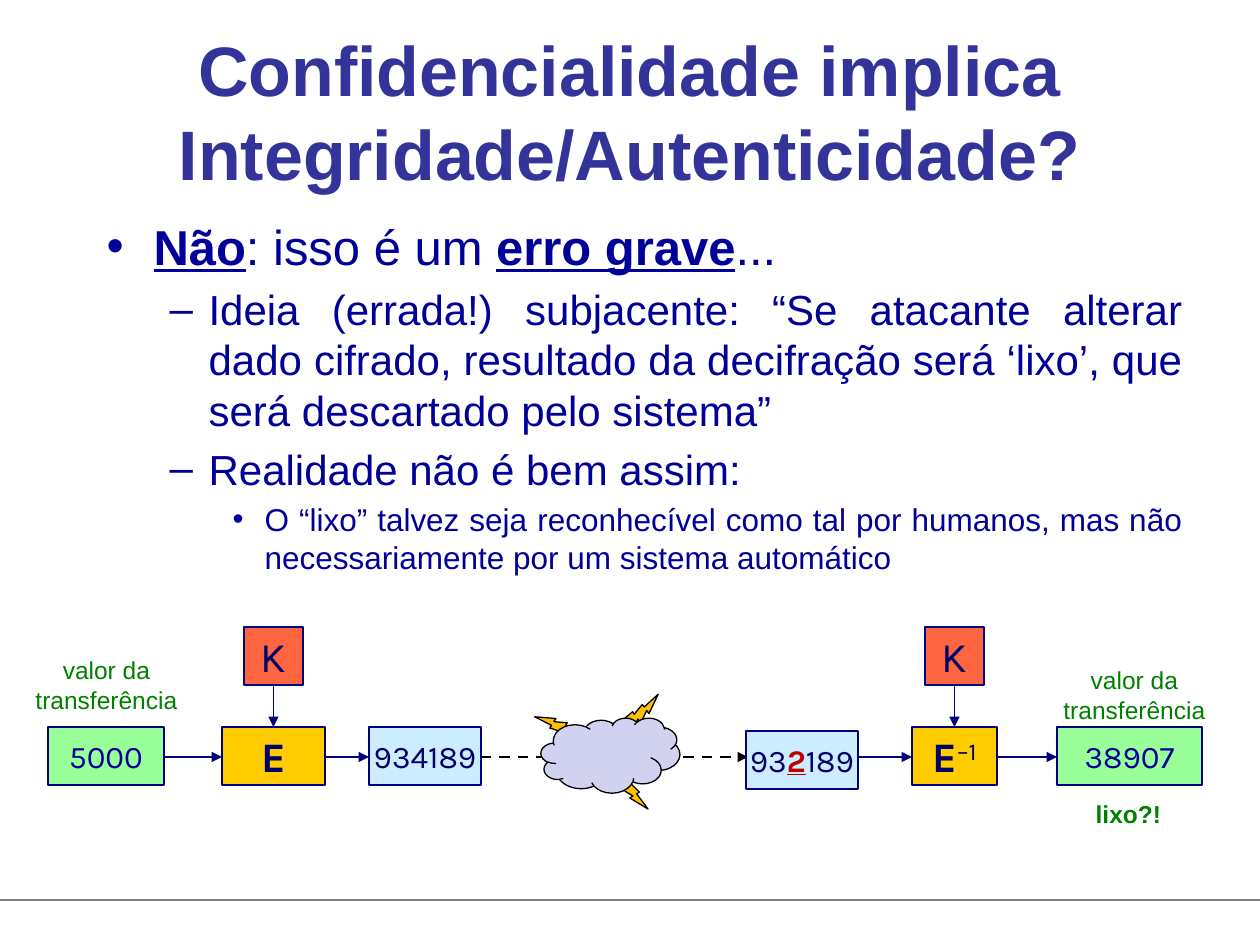
import pptx
import pptx.util
import pptx.dml.color
import pptx.enum.dml
import pptx.enum.shapes
import pptx.enum.text
import pptx.oxml.ns
import lxml.etree

EMU_PER_PX = 914400 / 126
SHAPES = pptx.enum.shapes.MSO_SHAPE
ALIGN = pptx.enum.text.PP_ALIGN
ANCHOR = pptx.enum.text.MSO_ANCHOR
NAVY, INK, BODY, GREEN = "000080", "000066", "000099", "008000"
MINT, SKY, GOLD, CORAL = "99FF99", "CCECFF", "FFCC00", "FF6541"


def px(length):
    return pptx.util.Emu(round(length * EMU_PER_PX))


def color(value):
    return pptx.dml.color.RGBColor.from_string(value)


def add_element(parent, tag, **attributes):
    element = lxml.etree.SubElement(parent, pptx.oxml.ns.qn(tag))
    for name, value in attributes.items():
        element.set(name, value)
    return element


def add_run(paragraph, text, size, font, fill, bold=False, underline=False):
    run = paragraph.add_run()
    run.text = text
    run.font.size = pptx.util.Pt(size)
    run.font.name = font
    run.font.color.rgb = color(fill)
    run.font.bold = bold
    run.font.underline = underline
    return run


def place(shape, left, top, width, height):
    shape.left, shape.top = px(left), px(top)
    shape.width, shape.height = px(width), px(height)


def add_line(slide, start, end, line_color=NAVY, width=0.75, arrow=True):
    line = slide.shapes.add_connector(
        pptx.enum.shapes.MSO_CONNECTOR.STRAIGHT, *map(px, start + end))
    line.line.color.rgb = color(line_color)
    line.line.width = pptx.util.Pt(width)
    if arrow:
        add_element(line.line._get_or_add_ln(), "a:tailEnd", type="triangle")
    add_element(line._element.spPr, "a:effectLst")
    return line


def add_figure(slide, kind, left, top, width, height, fill, line_color):
    shape = slide.shapes.add_shape(kind, px(left), px(top), px(width), px(height))
    shape.shadow.inherit = False
    shape.fill.solid()
    shape.fill.fore_color.rgb = color(fill)
    shape.line.color.rgb = color(line_color)
    shape.line.width = pptx.util.Pt(0.75)
    return shape


def add_block(slide, left, top, width, fill, height=58):
    """Adds a diagram box and returns its centred paragraph."""
    shape = add_figure(slide, SHAPES.RECTANGLE, left, top, width, height, fill, NAVY)
    frame = shape.text_frame
    frame.word_wrap = False
    frame.vertical_anchor = ANCHOR.MIDDLE
    paragraph = frame.paragraphs[0]
    paragraph.alignment = ALIGN.CENTER
    return paragraph


def add_caption(slide, text, left, top, width, height, bold=False):
    frame = slide.shapes.add_textbox(px(left), px(top), px(width), px(height)).text_frame
    frame.word_wrap = True
    paragraph = frame.paragraphs[0]
    paragraph.alignment = ALIGN.CENTER
    add_run(paragraph, text, 14, "Arial", GREEN, bold)


def fill_title(slide, text, box):
    title = slide.shapes.title
    place(title, *box)
    frame = title.text_frame
    frame.auto_size = pptx.enum.text.MSO_AUTO_SIZE.NONE
    frame.vertical_anchor = ANCHOR.MIDDLE
    paragraph = frame.paragraphs[0]
    paragraph.alignment = ALIGN.CENTER
    add_run(paragraph, text, 40, "Arial", "333399", bold=True)


def fill_body(slide, items, box):
    # Per level: text size, bullet, left margin and hanging indent
    levels = [(28, "•", 47, 47), (24, "–", 102, 39), (18, "•", 158, 32)]
    body = slide.placeholders[1]
    place(body, *box)
    frame = body.text_frame
    frame.auto_size = pptx.enum.text.MSO_AUTO_SIZE.NONE
    for index, (level, runs) in enumerate(items):
        size, bullet, margin, hanging = levels[level]
        paragraph = frame.add_paragraph() if index else frame.paragraphs[0]
        properties = paragraph._p.get_or_add_pPr()
        properties.set("marL", str(px(margin)))
        properties.set("indent", str(-px(hanging)))
        add_element(properties, "a:buChar", char=bullet)
        paragraph.level = level
        paragraph.alignment = ALIGN.JUSTIFY
        paragraph.space_before = pptx.util.Pt(size * 0.2 if index else 0)
        for text, strong in runs:
            add_run(paragraph, text, size, "Arial", BODY, strong, strong)


def add_cipher(slide, left, top, width, exponent=""):
    """Key box centred above a cipher box, joined by an arrow."""
    key_size, cipher_offset = 59, 100
    center = left + width / 2
    key = add_block(slide, center - key_size / 2, top, key_size, CORAL)
    add_run(key, "K", 24, "Karla", INK)
    cipher = add_block(slide, left, top + cipher_offset, width, GOLD)
    add_run(cipher, "E", 24, "Karla", INK, bold=True)
    if exponent:
        run = add_run(cipher, exponent, 24, "Karla", INK)
        run._r.get_or_add_rPr().set("baseline", "30000")
    add_line(slide, (center, top + 58), (center, top + cipher_offset))


def add_network(slide, left, top, width, height):
    """Cloud with lightning bolts striking it."""
    for x, y, angle in [(84, -24, 261.2), (73, 53, 356.9), (1, -12, 150.2)]:
        bolt = add_figure(slide, SHAPES.LIGHTNING_BOLT, left + x, top + y,
                          33, 39, "FFC000", "000000")
        bolt.rotation = angle
    add_figure(slide, SHAPES.CLOUD, left, top, width, height, "D1D1F0", "000000")


def add_transfer_diagram(slide, left, top):
    row, axis = top + 100, top + 130

    # Sender and receiver ciphers
    add_cipher(slide, left + 174, top, 103)
    add_cipher(slide, left + 864, top, 85, "–1")

    # Arrows along the row
    for start, end in [(116, 174), (277, 321), (810, 864), (949, 1009)]:
        add_line(slide, (left + start, axis), (left + end, axis))
    channel = add_line(slide, (left + 433, axis), (left + 700, axis), "000000", 1.5)
    channel.line.dash_style = pptx.enum.dml.MSO_LINE.DASH
    add_network(slide, left + 493, top + 91, 139, 75)

    # Values before, during and after the transfer
    for text, x, width, fill, ink in [("5000", 0, 116, MINT, BODY),
                                      ("934189", 321, 112, SKY, INK),
                                      ("38907", 1009, 145, MINT, BODY)]:
        add_run(add_block(slide, left + x, row, width, fill), text, 18, "Karla", ink)
    altered = add_block(slide, left + 698, row + 4, 112, SKY)
    add_run(altered, "93", 18, "Karla", INK)
    add_run(altered, "2", 18, "Karla", "C00000", bold=True, underline=True)
    add_run(altered, "189", 18, "Karla", INK)

    # Captions
    for x, y in [(-29, 22), (999, 32)]:
        add_caption(slide, "valor da transferência", left + x, top + y, 175, 72)
    add_caption(slide, "lixo?!", left + 1019, top + 166, 123, 43, bold=True)


def main():
    presentation = pptx.Presentation()
    presentation.slide_width, presentation.slide_height = px(1260), px(945)
    slide = presentation.slides.add_slide(presentation.slide_layouts[1])

    add_line(slide, (0, 900), (1260, 900), "808080", arrow=False)
    fill_title(slide, "Confidencialidade implica Integridade/Autenticidade?",
               (94, 32, 1071, 158))
    fill_body(slide, [
        (0, [("Não", True), (": isso é um ", False), ("erro grave", True), ("...", False)]),
        (1, [("Ideia (errada!) subjacente: “Se atacante alterar dado cifrado, resultado "
              "da decifração será ‘lixo’, que será descartado pelo sistema”", False)]),
        (1, [("Realidade não é bem assim:", False)]),
        (2, [("O “lixo” talvez seja reconhecível como tal por humanos, mas não "
              "necessariamente por um sistema automático", False)]),
    ], (94, 210, 1101, 659))
    add_transfer_diagram(slide, 48, 627)

    presentation.save("out.pptx")


if __name__ == "__main__":
    main()
